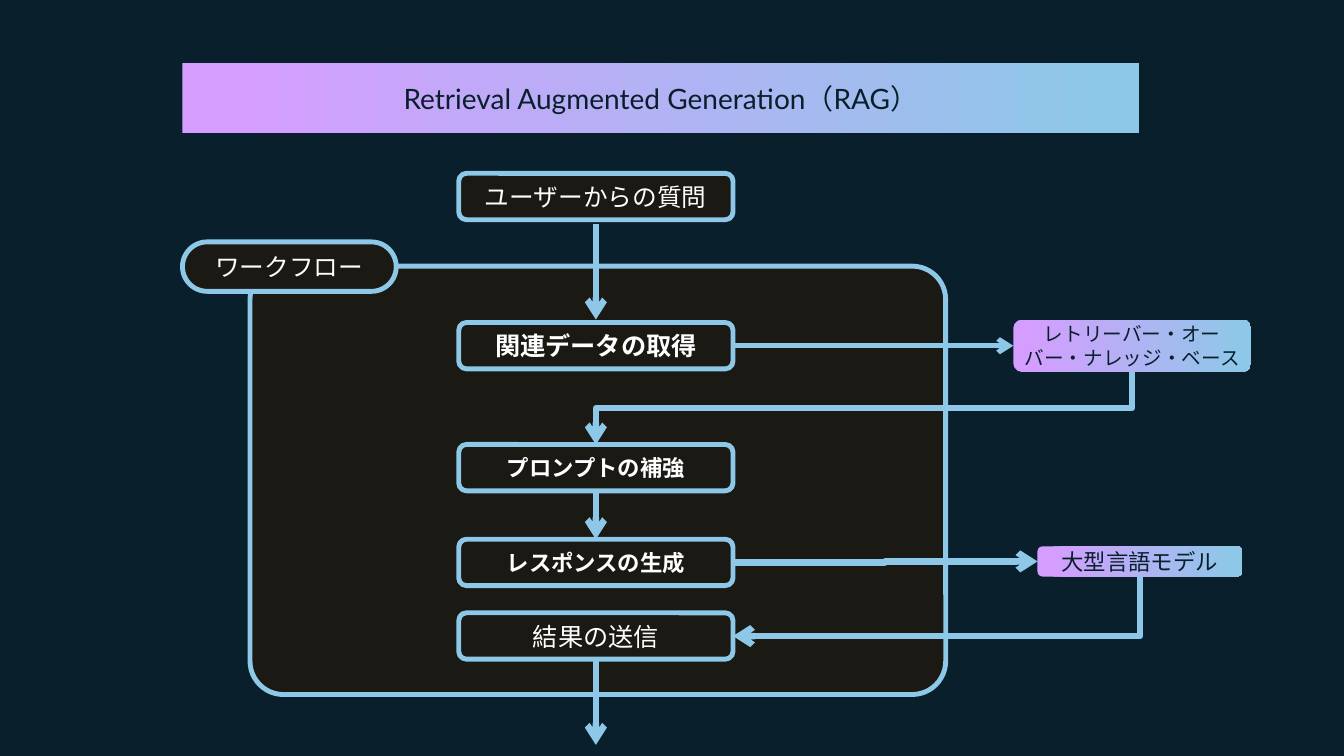
import pptx
import pptx.util
import pptx.dml.color
import pptx.enum.shapes
import pptx.enum.text
import pptx.oxml
import pptx.oxml.ns
from dataclasses import dataclass

Inches = pptx.util.Inches
Pt = pptx.util.Pt
Kind = pptx.enum.shapes.MSO_SHAPE
Route = pptx.enum.shapes.MSO_CONNECTOR
qn = pptx.oxml.ns.qn


def rgb(code):
    return pptx.dml.color.RGBColor.from_string(code)


@dataclass(frozen=True)
class Theme:
    font = "Lato"
    back = rgb("091F2C")
    panel = rgb("1A1913")
    sky = rgb("8DC8E8")
    violet = rgb("D59DFF")
    white = rgb("FFFFFF")
    title = 20
    large = 18
    label = 17.6
    body = 16
    small = 14
    thin = 3.5
    thick = 4.5


theme = Theme()


def put_text(shape, text, size, color, bold=False, pad=None):
    frame = shape.text_frame
    frame.word_wrap = True
    frame.vertical_anchor = pptx.enum.text.MSO_ANCHOR.MIDDLE
    if pad is not None:
        frame.margin_left = frame.margin_right = Inches(pad)
        frame.margin_top = frame.margin_bottom = Inches(pad)
    para = frame.paragraphs[0]
    para.text = text
    para.alignment = pptx.enum.text.PP_ALIGN.CENTER
    para.font.name = theme.font
    para.font.size = Pt(size)
    para.font.bold = bold
    para.font.color.rgb = color


def add_base(slide, kind, box, round_by=None):
    shape = slide.shapes.add_shape(kind, *map(Inches, box))
    shape.shadow.inherit = False
    if round_by is not None:
        shape.adjustments[0] = round_by
    return shape


def add_frame(slide, box, round_by=None):
    shape = add_base(slide, Kind.ROUNDED_RECTANGLE, box, round_by)
    shape.fill.solid()
    shape.fill.fore_color.rgb = theme.panel
    shape.line.color.rgb = theme.sky
    shape.line.width = Pt(theme.thin)
    return shape


def add_node(slide, box, text, size, bold=False, round_by=None):
    shape = add_frame(slide, box, round_by)
    put_text(shape, text, size, theme.white, bold)


def add_blend(slide, kind, box, text, size):
    shape = add_base(slide, kind, box)
    shape.fill.gradient()
    shape.fill.gradient_angle = 0
    stops = ((0.05, theme.violet), (0.97, theme.sky))
    for stop, (place, color) in zip(shape.fill.gradient_stops, stops):
        stop.position = place
        stop.color.rgb = color
    shape.line.fill.background()
    put_text(shape, text, size, theme.back, pad=0)


def add_arrow(slide, start, end, width=theme.thick, route=Route.STRAIGHT):
    link = slide.shapes.add_connector(route, *map(Inches, start + end))
    link.line.color.rgb = theme.sky
    link.line.width = Pt(width)
    tail = pptx.oxml.parse_xml(f'<a:tailEnd {pptx.oxml.ns.nsdecls("a")} type="arrow"/>')
    link.line._get_or_add_ln().append(tail)
    props = link._element.spPr
    props.append(props.makeelement(qn("a:effectLst"), {}))
    return link


def add_drop(slide, start, end, preset):
    mid_x, mid_y = (start[0] + end[0]) / 2, (start[1] + end[1]) / 2
    half_w, half_h = (end[1] - start[1]) / 2, (start[0] - end[0]) / 2
    link = add_arrow(slide, (mid_x - half_w, mid_y - half_h),
                     (mid_x + half_w, mid_y + half_h), route=Route.ELBOW)
    props = link._element.spPr
    props.find(qn("a:xfrm")).set("rot", str(90 * 60000))
    props.find(qn("a:prstGeom")).set("prst", preset)


def main():
    deck = pptx.Presentation()
    deck.slide_width, deck.slide_height = Inches(13.33), Inches(7.5)
    slide = deck.slides.add_slide(deck.slide_layouts[6])
    slide.background.fill.solid()
    slide.background.fill.fore_color.rgb = theme.back

    add_frame(slide, (2.48, 2.64, 6.9, 4.25), 0.078)
    add_blend(slide, Kind.RECTANGLE, (1.81, 0.63, 9.49, 0.69),
              "Retrieval Augmented Generation（RAG）", theme.title)

    steps = (
        (1.72, "ユーザーからの質問", theme.label, False),
        (3.2, "関連データの取得", theme.large, True),
        (4.41, "プロンプトの補強", theme.body, True),
        (5.35, "レスポンスの生成", theme.body, True),
        (6.08, "結果の送信", theme.large, False),
    )
    for top, text, size, bold in steps:
        add_node(slide, (4.55, top, 2.72, 0.46), text, size, bold)

    add_blend(slide, Kind.ROUNDED_RECTANGLE, (10.05, 3.17, 2.36, 0.52),
              "レトリーバー・オーバー・ナレッジ・ベース", theme.small)
    add_blend(slide, Kind.ROUNDED_RECTANGLE, (10.29, 5.42, 2.03, 0.3),
              "大型言語モデル", theme.body)

    for top, low in ((2.22, 3.17), (4.87, 5.35), (6.54, 7.39)):
        add_arrow(slide, (5.91, top), (5.91, low))
    add_arrow(slide, (7.27, 3.43), (10.05, 3.43), theme.thin)
    add_arrow(slide, (7.27, 5.58), (10.29, 5.57), route=Route.ELBOW)
    add_drop(slide, (11.23, 3.69), (5.91, 4.41), "bentConnector3")
    add_drop(slide, (11.31, 5.72), (7.27, 6.31), "bentConnector2")

    add_node(slide, (1.81, 2.4, 2.12, 0.49), "ワークフロー", theme.label, round_by=0.5)
    deck.save("out.pptx")


if __name__ == "__main__":
    main()
